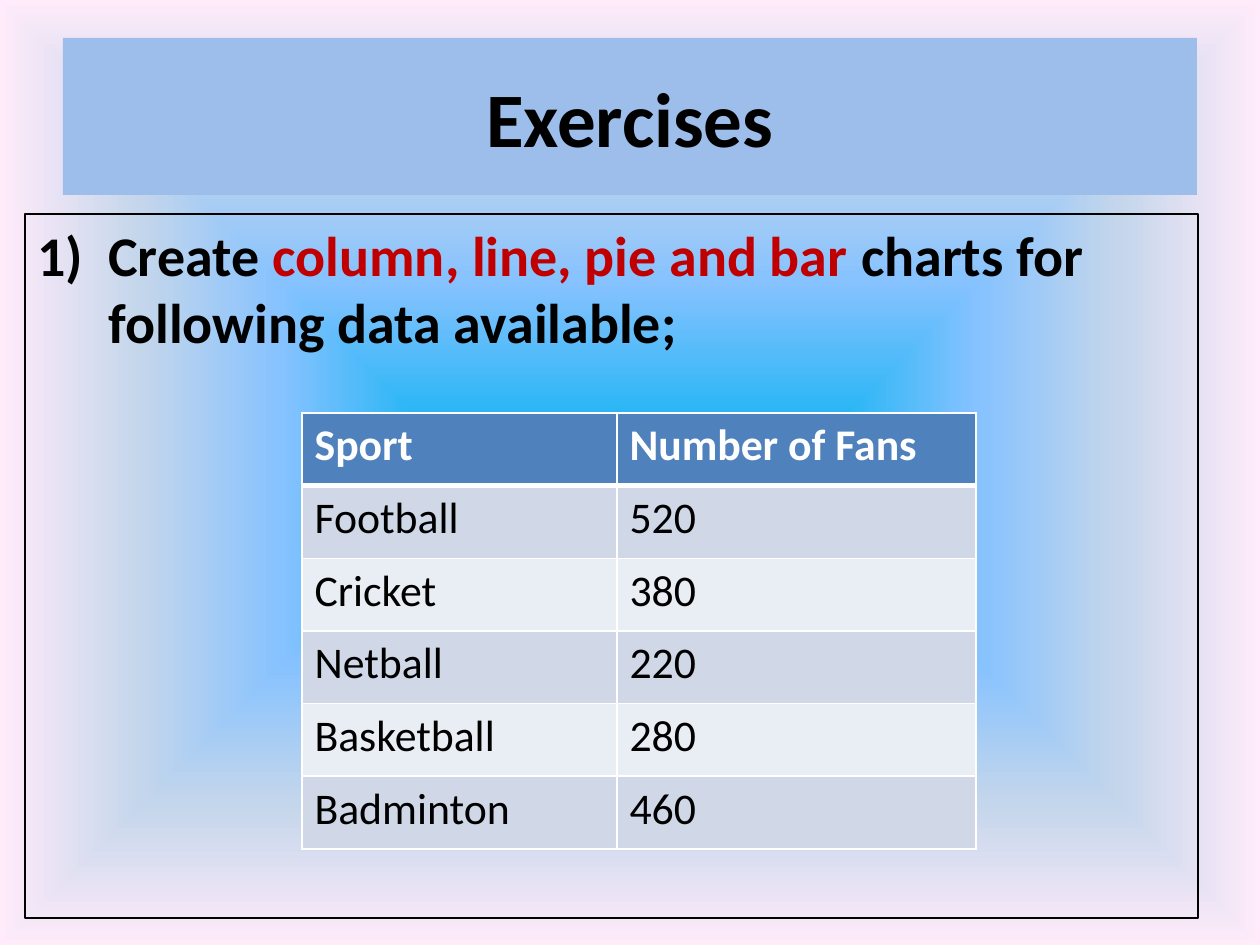
from pptx import Presentation
from pptx.dml.color import RGBColor
from pptx.enum.shapes import MSO_SHAPE as Shape
from pptx.enum.text import MSO_ANCHOR as Anchor, PP_ALIGN as Align
from pptx.oxml import parse_xml
from pptx.oxml.ns import nsdecls
from pptx.util import Emu, Pt

SCALE = 914400 / 126
FONT = "Calibri"
COLORS = {
    "black": "000000",
    "white": "FFFFFF",
    "red": "C00000",
    "title": "9DBDEB",
    "header": "4F81BD",
    "odd_row": "D0D8E8",
    "even_row": "E9EDF4",
}
GRADIENT = [(0, "00B0F0"), (40, "85C2FF"), (70, "C4D6EB"), (100, "FFEBFA")]
SPORTS = [
    ("Sport", "Number of Fans"),
    ("Football", "520"),
    ("Cricket", "380"),
    ("Netball", "220"),
    ("Basketball", "280"),
    ("Badminton", "460"),
]


def px(length):
    return Emu(round(length * SCALE))


def color(name):
    return RGBColor.from_string(COLORS[name])


def set_font(font, size, name, bold):
    font.name = FONT
    font.size = Pt(size)
    font.bold = bold
    font.color.rgb = color(name)


def set_background(slide):
    stops = "".join(
        f'<a:gs pos="{position * 1000}"><a:srgbClr val="{value}"/></a:gs>'
        for position, value in GRADIENT
    )
    background = parse_xml(
        f'<p:bg {nsdecls("p", "a")}><p:bgPr><a:gradFill rotWithShape="1">'
        f'<a:gsLst>{stops}</a:gsLst><a:path path="shape">'
        '<a:fillToRect l="50000" t="50000" r="50000" b="50000"/></a:path>'
        "</a:gradFill><a:effectLst/></p:bgPr></p:bg>"
    )
    slide.element.cSld.insert(0, background)


def add_box(slide, left, top, width, height, anchor):
    shape = slide.shapes.add_shape(
        Shape.RECTANGLE, px(left), px(top), px(width), px(height)
    )
    shape.shadow.inherit = False
    shape.fill.background()
    shape.line.fill.background()
    shape.text_frame.word_wrap = True
    shape.text_frame.vertical_anchor = anchor
    return shape


def add_title(slide, text):
    shape = add_box(slide, 63, 38, 1134, 157, Anchor.MIDDLE)
    shape.fill.solid()
    shape.fill.fore_color.rgb = color("title")
    paragraph = shape.text_frame.paragraphs[0]
    paragraph.text = text
    paragraph.alignment = Align.CENTER
    set_font(paragraph.font, 44, "black", True)


def add_exercise(slide, parts):
    shape = add_box(slide, 25, 214, 1173, 704, Anchor.TOP)
    shape.line.color.rgb = color("black")
    shape.line.width = Pt(0.75)
    paragraph = shape.text_frame.paragraphs[0]
    paragraph.alignment = Align.LEFT
    properties = paragraph._p.get_or_add_pPr()
    properties.set("marL", str(px(71)))
    properties.set("indent", str(-px(71)))
    properties.append(
        parse_xml(f'<a:buAutoNum {nsdecls("a")} type="arabicParenR"/>')
    )
    set_font(paragraph.font, 32, "black", True)
    for text, name in parts:
        run = paragraph.add_run()
        run.text = text
        set_font(run.font, 32, name, True)


def set_borders(cell, top, bottom):
    properties = cell._tc.get_or_add_tcPr()
    for side, width in (("L", 1), ("R", 1), ("T", top), ("B", bottom)):
        properties.append(parse_xml(
            f'<a:ln{side} {nsdecls("a")} w="{Pt(width)}"><a:solidFill>'
            f'<a:srgbClr val="{COLORS["white"]}"/></a:solidFill></a:ln{side}>'
        ))


def add_fans_table(slide, rows):
    widths = (315, 359)
    table = slide.shapes.add_table(
        len(rows), len(widths), px(302), px(413), px(sum(widths)), px(436)
    ).table
    for column, width in zip(table.columns, widths):
        column.width = px(width)
    for row, texts in enumerate(rows):
        header = row == 0
        fill = "header" if header else "odd_row" if row % 2 else "even_row"
        for column, text in enumerate(texts):
            cell = table.cell(row, column)
            set_borders(cell, 3 if row == 1 else 1, 3 if header else 1)
            cell.fill.solid()
            cell.fill.fore_color.rgb = color(fill)
            cell.text = text
            font = cell.text_frame.paragraphs[0].font
            set_font(font, 25, "white" if header else "black", header)


def main():
    presentation = Presentation()
    presentation.slide_width = px(1260)
    presentation.slide_height = px(945)
    slide = presentation.slides.add_slide(presentation.slide_layouts[6])
    set_background(slide)
    add_title(slide, "Exercises")
    add_exercise(slide, [
        ("Create ", "black"),
        ("column, line, pie and bar ", "red"),
        ("charts for following data available;", "black"),
    ])
    add_fans_table(slide, SPORTS)
    presentation.save("out.pptx")


if __name__ == "__main__":
    main()
